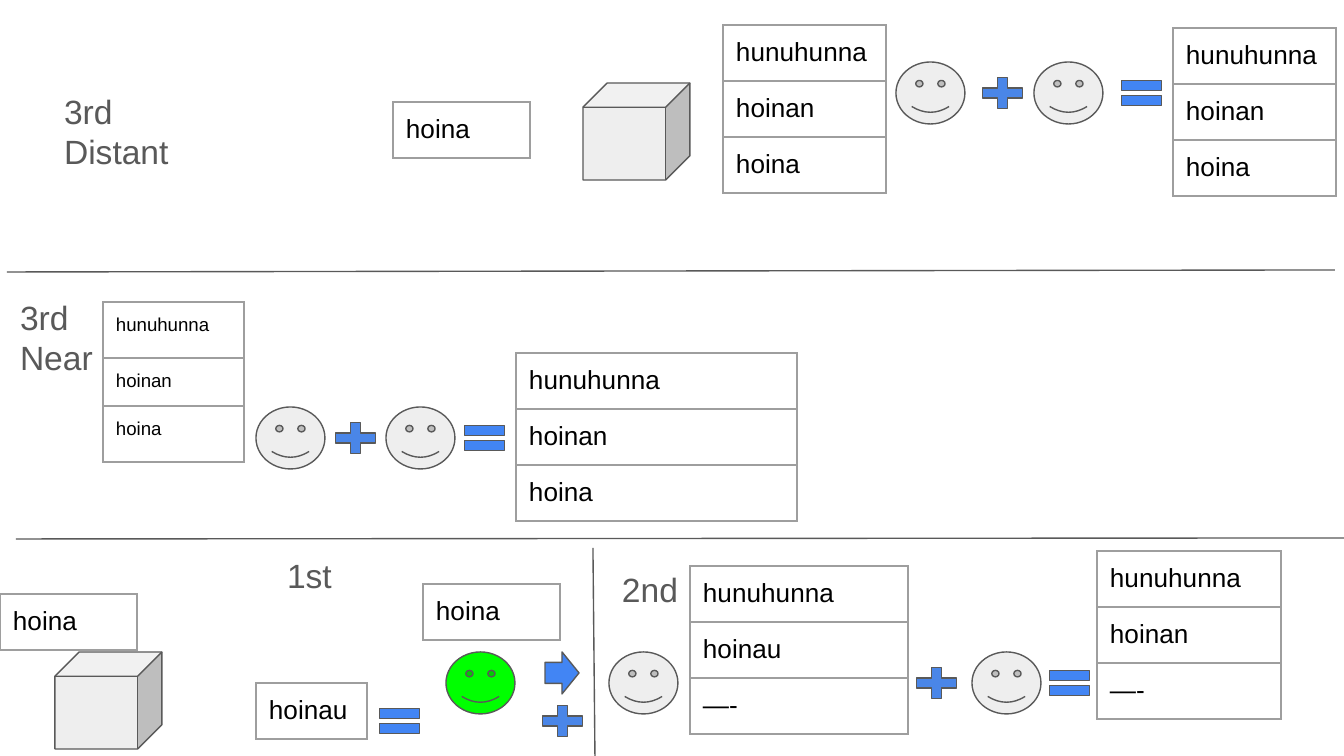
from lxml.etree import SubElement
from pptx import Presentation
from pptx.dml.color import RGBColor
from pptx.enum.shapes import MSO_CONNECTOR, MSO_SHAPE
from pptx.enum.text import MSO_AUTO_SIZE
from pptx.oxml import parse_xml
from pptx.oxml.ns import nsdecls, qn
from pptx.util import Emu, Pt

EMU_PER_PX = 914400 / 134.4
INSET = 13
ROW = 56
GREY, BLUE, PLUS_BLUE, GREEN = "EEEEEE", "4285F4", "4A86E8", "00FF00"
INK, BORDER, BLACK, WHITE = "595959", "9E9E9E", "000000", "FFFFFF"

LABELS = [
    ("3rd Distant", 51, 78, 137, 109),
    ("3rd Near", 7, 284, 112, 109),
    ("2nd", 609, 556, 97, 67),
    ("1st", 274, 542, 97, 67),
]

NEAR_FORMS = ["hunuhunna", "hoinan", "hoina"]
WORD_TABLES = [
    (NEAR_FORMS, 103, 302, 141, [ROW, 48, ROW], 10),
    (["hunuhunna", "hoinau", "—-"], 690, 566, 218, [ROW] * 3, 14),
    (["hoina"], 423, 584, 137, [ROW], 14),
    (NEAR_FORMS, 723, 25, 163, [ROW] * 3, 14),
    (["hoina"], 0, 594, 137, [ROW], 14),
    (["hoina"], 393, 102, 137, [ROW], 14),
    (NEAR_FORMS, 516, 353, 281, [ROW] * 3, 14),
    (NEAR_FORMS, 1173, 28, 163, [ROW] * 3, 14),
    (["hoinau"], 256, 683, 111, [ROW], 14),
    (["hunuhunna", "hoinan", "—-"], 1097, 551, 184, [ROW] * 3, 14),
]

SYMBOLS = [
    (MSO_SHAPE.SMILEY_FACE, GREEN, 69, 62, [(446, 652)]),
    (MSO_SHAPE.SMILEY_FACE, GREY, 69, 62,
     [(609, 652), (386, 407), (256, 407), (896, 62), (1034, 62), (972, 652)]),
    (MSO_SHAPE.CUBE, GREY, 107, 97, [(55, 652), (583, 83)]),
    (MSO_SHAPE.RIGHT_ARROW, BLUE, 34, 42, [(545, 652)]),
    (MSO_SHAPE.MATH_PLUS, PLUS_BLUE, 55, 42,
     [(328, 417), (975, 72), (535, 700), (909, 662)]),
    (MSO_SHAPE.MATH_EQUAL, BLUE, 55, 42,
     [(457, 417), (1114, 72), (372, 700), (1042, 662)]),
]

DIVIDERS = [(7, 272, 1335, 270), (16, 539, 1344, 538), (593, 548, 595, 756)]


def px(*lengths):
    return [Emu(round(length * EMU_PER_PX)) for length in lengths]


def color(value):
    return RGBColor.from_string(value)


def write(frame, words, size, ink):
    run = frame.paragraphs[0].add_run()
    run.text = words
    run.font.name = "Arial"
    run.font.size = Pt(size)
    run.font.color.rgb = color(ink)


def outline(line):
    line.color.rgb = color(INK)
    line.width = Pt(0.75)


def add_symbols(slide, kind, fill, width, height, places):
    for left, top in places:
        symbol = slide.shapes.add_shape(kind, *px(left, top, width, height))
        symbol.shadow.inherit = False
        symbol.fill.solid()
        symbol.fill.fore_color.rgb = color(fill)
        outline(symbol.line)


def add_borders(cell):
    properties = cell._tc.get_or_add_tcPr()
    for position, side in enumerate(("lnL", "lnR", "lnT", "lnB")):
        properties.insert(position, parse_xml(
            f'<a:{side} {nsdecls("a")} w="{Pt(0.75)}"><a:solidFill>'
            f'<a:srgbClr val="{BORDER}"/></a:solidFill></a:{side}>'))


def add_word_table(slide, words, left, top, width, heights, size):
    table = slide.shapes.add_table(
        len(words), 1, *px(left, top, width, sum(heights))).table
    table.first_row = table.horz_banding = False
    for row, (word, height) in enumerate(zip(words, heights)):
        table.rows[row].height = px(height)[0]
        cell = table.cell(row, 0)
        (cell.margin_left, cell.margin_right,
         cell.margin_top, cell.margin_bottom) = px(*[INSET] * 4)
        cell.fill.solid()
        cell.fill.fore_color.rgb = color(WHITE)
        add_borders(cell)
        write(cell.text_frame, word, size, BLACK)


def add_divider(slide, *ends):
    divider = slide.shapes.add_connector(MSO_CONNECTOR.STRAIGHT, *px(*ends))
    outline(divider.line)
    SubElement(divider._element.spPr, qn("a:effectLst"))


def add_label(slide, words, *box):
    frame = slide.shapes.add_textbox(*px(*box)).text_frame
    frame.word_wrap = True
    frame.auto_size = MSO_AUTO_SIZE.SHAPE_TO_FIT_TEXT
    (frame.margin_left, frame.margin_right,
     frame.margin_top, frame.margin_bottom) = px(*[INSET] * 4)
    write(frame, words, 18, INK)


def main():
    deck = Presentation()
    deck.slide_width, deck.slide_height = px(1344, 756)
    slide = deck.slides.add_slide(deck.slide_layouts[6])
    for symbols in SYMBOLS:
        add_symbols(slide, *symbols)
    for word_table in WORD_TABLES:
        add_word_table(slide, *word_table)
    for divider in DIVIDERS:
        add_divider(slide, *divider)
    for label in LABELS:
        add_label(slide, *label)
    deck.save("out.pptx")


if __name__ == "__main__":
    main()
